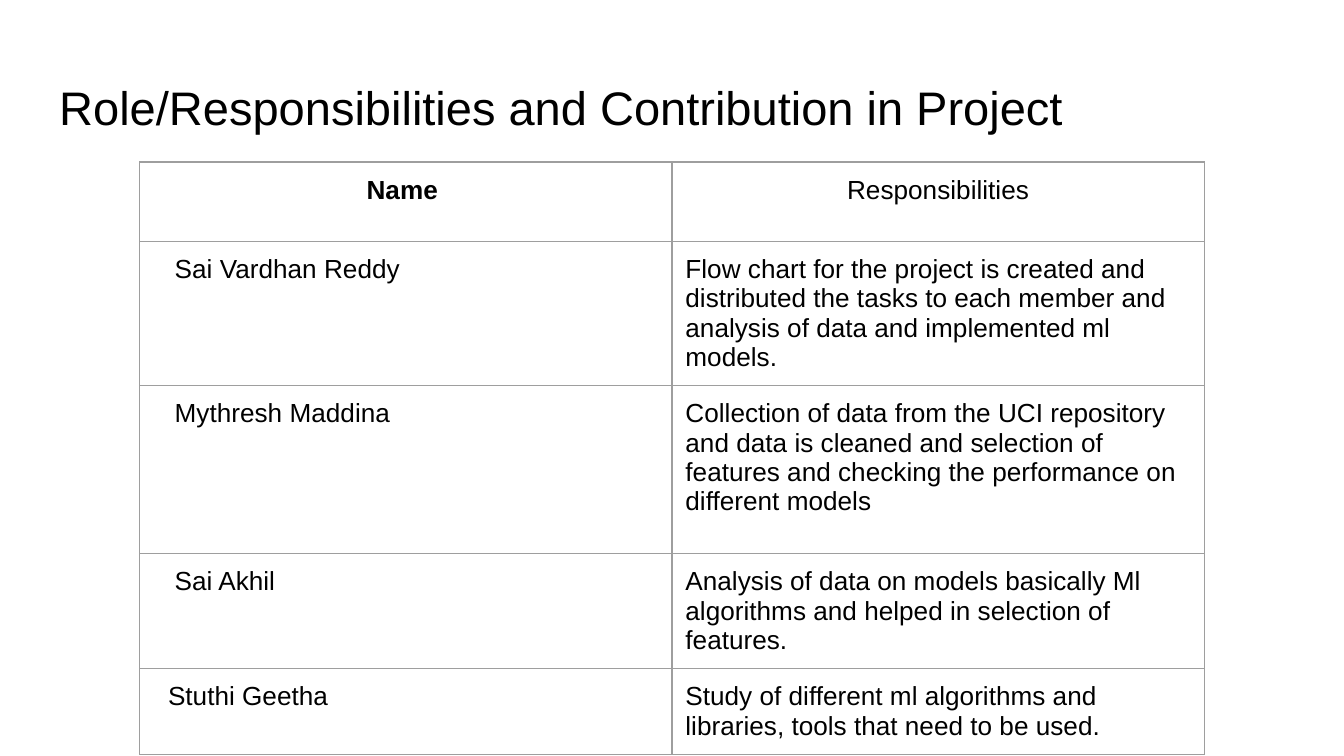
from dataclasses import dataclass

import pptx
import pptx.dml.color
import pptx.enum.text
import pptx.oxml
import pptx.oxml.ns
import pptx.util

PX = 4572
PAD = 20
FONT = "Arial"
BLACK = "000000"
GREY = "9E9E9E"
LEFT = pptx.enum.text.PP_ALIGN.LEFT
CENTER = pptx.enum.text.PP_ALIGN.CENTER


@dataclass
class Member:
    name: str
    duty: str
    height: int
    indent: int = 52


MEMBERS = [
    Member("Sai Vardhan Reddy",
           "Flow chart for the project is created and distributed the tasks to each "
           "member and analysis of data and implemented ml models.", 204),
    Member("Mythresh Maddina",
           "Collection of data from the UCI repository and data is cleaned and selection "
           "of features and checking the performance on different models", 250),
    Member("Sai Akhil",
           "Analysis of data on models basically Ml algorithms and helped in selection "
           "of features.", 96),
    Member("Stuthi Geetha",
           "Study of different ml algorithms and libraries, tools that need to be used.",
           96, 42),
]


def px(n: int) -> pptx.util.Emu:
    return pptx.util.Emu(n * PX)


def rgb(color: str) -> pptx.dml.color.RGBColor:
    return pptx.dml.color.RGBColor.from_string(color)


def write(tf, text: str, size: float, align=LEFT, bold: bool = False) -> None:
    tf.text = text
    p = tf.paragraphs[0]
    p.alignment = align
    p.font.name = FONT
    p.font.size = pptx.util.Pt(size)
    p.font.bold = bold
    p.font.color.rgb = rgb(BLACK)


def add_borders(cell, color: str, width: float) -> None:
    tcPr = cell._tc.get_or_add_tcPr()
    for side in ("lnL", "lnR", "lnT", "lnB"):
        tcPr.append(pptx.oxml.parse_xml(
            f'<a:{side} {pptx.oxml.ns.nsdecls("a")} w="{pptx.util.Pt(width)}">'
            f'<a:solidFill><a:srgbClr val="{color}"/></a:solidFill></a:{side}>'))


def fill_cell(cell, text: str, align=LEFT, bold: bool = False, indent: int = PAD) -> None:
    cell.margin_left = px(indent)
    cell.margin_right = cell.margin_top = cell.margin_bottom = px(PAD)
    add_borders(cell, GREY, 0.75)
    cell.fill.background()
    write(cell.text_frame, text, 14, align, bold)


def add_title(s, text: str) -> None:
    sp = s.shapes.title
    sp.left, sp.top, sp.width, sp.height = px(68), px(97), px(1864), px(125)
    tf = sp.text_frame
    tf.margin_left = tf.margin_right = tf.margin_top = tf.margin_bottom = px(PAD)
    tf.vertical_anchor = pptx.enum.text.MSO_ANCHOR.TOP
    tf.auto_size = pptx.enum.text.MSO_AUTO_SIZE.NONE
    tf.word_wrap = True
    write(tf, text, 25.2)


def add_roles(s, members: list[Member]) -> None:
    heights = [118] + [m.height for m in members]
    table = s.shapes.add_table(len(heights), 2, px(208), px(241),
                               px(1584), px(sum(heights))).table
    table.first_row = table.horz_banding = False
    for row, height in zip(table.rows, heights):
        row.height = px(height)
    fill_cell(table.cell(0, 0), "Name ", CENTER, bold=True)
    fill_cell(table.cell(0, 1), "Responsibilities", CENTER)
    for i, m in enumerate(members, 1):
        fill_cell(table.cell(i, 0), m.name, indent=m.indent)
        fill_cell(table.cell(i, 1), m.duty)


def main() -> None:
    prs = pptx.Presentation()
    prs.slide_width, prs.slide_height = px(2000), px(1125)
    s = prs.slides.add_slide(prs.slide_layouts[5])
    add_title(s, "Role/Responsibilities and Contribution in Project")
    add_roles(s, MEMBERS)
    prs.save("out.pptx")


if __name__ == "__main__":
    main()
